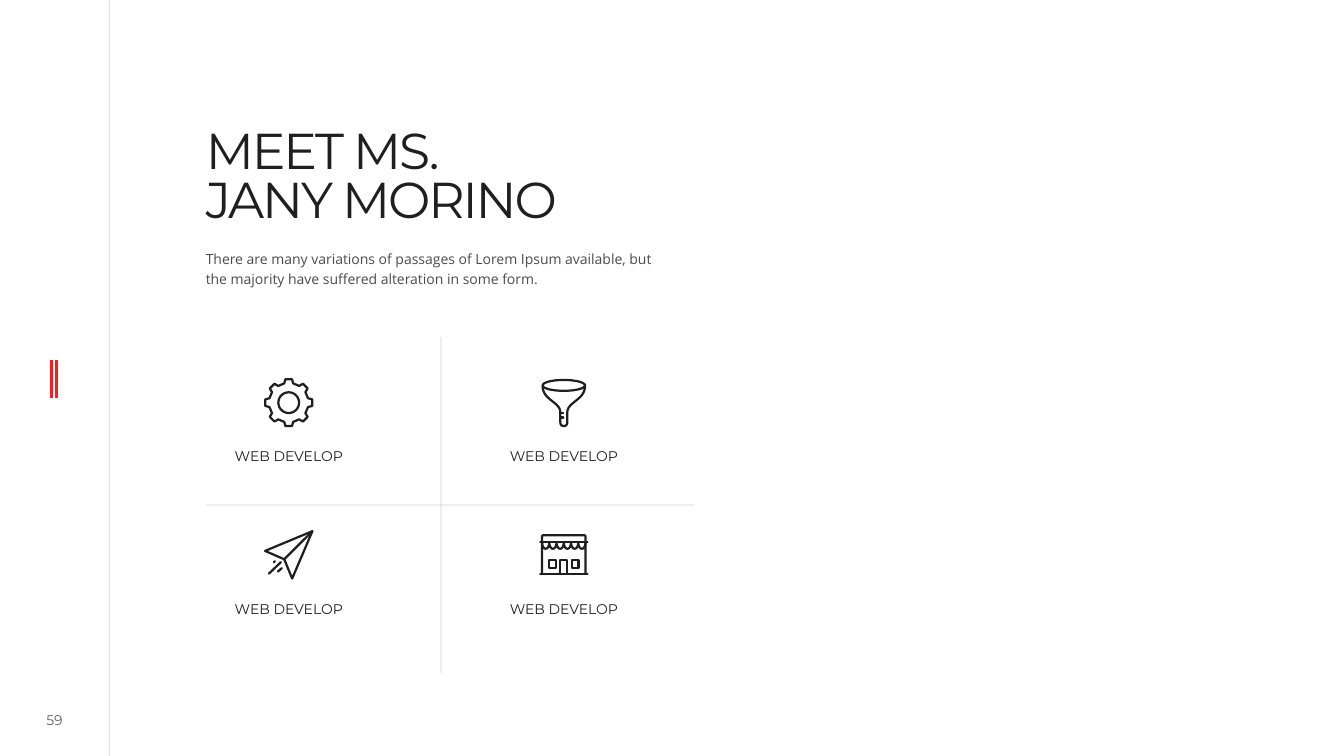
from math import cos, pi, sin

from lxml import etree
from pptx import Presentation
from pptx.dml.color import RGBColor
from pptx.enum.shapes import MSO_CONNECTOR
from pptx.enum.text import MSO_ANCHOR, MSO_AUTO_SIZE, PP_ALIGN
from pptx.oxml.ns import qn
from pptx.util import Emu, Pt

STRAIGHT = MSO_CONNECTOR.STRAIGHT
TOP, MIDDLE = MSO_ANCHOR.TOP, MSO_ANCHOR.MIDDLE
LEFT, CENTER = PP_ALIGN.LEFT, PP_ALIGN.CENTER
NO_FIT, GROW = MSO_AUTO_SIZE.NONE, MSO_AUTO_SIZE.SHAPE_TO_FIT_TEXT

EMU_PER_PX = 9525
SLIDE_W, SLIDE_H = 1280, 720
INK, RED = "1F1F1F", "FE1C1D"
HEADING, BODY = "Montserrat", "Open Sans"
ICON_SIZE = 47
ICON_GRID = 1000


def px(length):
    return Emu(round(length * EMU_PER_PX))


def paint(color_format, color, opacity=100):
    """Set a solid colour; opacity is in percent."""
    color_format.rgb = RGBColor.from_string(color)
    if opacity < 100:
        for srgb in color_format._xFill.iter(qn("a:srgbClr")):
            etree.SubElement(srgb, qn("a:alpha"), val=str(opacity * 1000))


def draw_rule(slide, start, end, color=INK, width=0.5, opacity=20):
    rule = slide.shapes.add_connector(STRAIGHT, *map(px, start + end))
    rule.line.width = Pt(width)
    rule.line.fill.solid()
    paint(rule.line.fill.fore_color, color, opacity)
    etree.SubElement(rule._element.spPr, qn("a:effectLst"))


def fill_text(shape, box, text, size, font=HEADING, opacity=100, align=LEFT,
              spacing=1.0, anchor=TOP, fit=GROW, top=5, bottom=5, tracking=0):
    """Place a text shape in its box and write one formatted paragraph."""
    shape.left, shape.top, shape.width, shape.height = map(px, box)
    frame = shape.text_frame
    frame_format = {
        "word_wrap": True, "auto_size": fit, "vertical_anchor": anchor,
        "margin_left": 0, "margin_right": 0,
        "margin_top": px(top), "margin_bottom": px(bottom),
    }
    for attribute, value in frame_format.items():
        setattr(frame, attribute, value)
    frame.text = text
    paragraph = frame.paragraphs[0]
    paragraph.alignment, paragraph.line_spacing = align, spacing
    for run in paragraph.runs:
        run.font.name, run.font.size = font, Pt(size)
        run.font.fill.solid()
        paint(run.font.fill.fore_color, INK, opacity)
        if tracking:
            run._r.get_or_add_rPr().set("spc", str(tracking))


def add_text(slide, box, text, size, **text_format):
    fill_text(slide.shapes.add_textbox(*map(px, box)), box, text, size, **text_format)


def curve(p0, p1, p2, p3, steps=16):
    """Points along a cubic curve."""
    points = []
    for step in range(steps + 1):
        t = step / steps
        weights = ((1 - t) ** 3, 3 * t * (1 - t) ** 2, 3 * t * t * (1 - t), t ** 3)
        points.append(tuple(sum(w * p[axis] for w, p in zip(weights, (p0, p1, p2, p3)))
                            for axis in (0, 1)))
    return points


def polar(radius, degrees):
    angle = degrees * pi / 180
    return 50 + radius * cos(angle), 50 + radius * sin(angle)


def rectangle(left, top, right, bottom):
    return [(left, top), (right, top), (right, bottom), (left, bottom), (left, top)]


# Each icon is a list of strokes on a grid of 100 by 100.
def gear():
    tooth = ((48, -8), (48, 8), (40, 13), (40, 32))
    rim = [polar(radius, 45 * index + turn) for index in range(8) for radius, turn in tooth]
    hole = [polar(21, 10 * step) for step in range(37)]
    return [rim + rim[:1], hole]


def funnel():
    mouth = [(50 + 43 * cos(step * pi / 24), 15 + 11 * sin(step * pi / 24))
             for step in range(49)]
    body = (curve((7, 16), (7, 45), (43, 48), (43, 70))
            + curve((43, 90), (43, 100), (57, 100), (57, 90))
            + curve((57, 70), (57, 48), (93, 45), (93, 16)))
    ticks = [[(43, y), (49, y)] for y in (71, 80)]
    return [mouth, body] + ticks


def paper_plane():
    wings = [(2, 42), (98, 2), (57, 98), (41, 59), (2, 42)]
    fold = [(41, 59), (98, 2)]
    trails = [[(34, 65), (10, 88)], [(36, 77), (28, 84)], [(22, 63), (20, 65)]]
    return [wings, fold] + trails


def shop():
    front = [(6, 88), (6, 12), (8, 10), (92, 10), (94, 12), (94, 88)]
    ledges = [[(2, y), (98, y)] for y in (24, 88)]
    scallop = 88 / 6
    awning = []
    for index in range(6):
        left = 6 + index * scallop
        right = left + scallop
        awning += curve((left, 24), (left, 42), (right, 42), (right, 24))
    door = [(43, 88), (43, 61), (57, 61), (57, 88)]
    windows = [rectangle(left, 61, left + 14, 76) for left in (20, 66)]
    return [front, awning, door] + ledges + windows


def draw_icon(slide, left, top, strokes):
    builder = None
    for stroke in strokes:
        start, *rest = [(x * ICON_GRID / 100, y * ICON_GRID / 100) for x, y in stroke]
        if builder is None:
            builder = slide.shapes.build_freeform(*start, scale=px(ICON_SIZE) / ICON_GRID)
        else:
            builder.move_to(*start)
        builder.add_line_segments(rest, close=False)
    icon = builder.convert_to_shape(px(left), px(top))
    icon.shadow.inherit = False
    icon.fill.background()
    icon.line.width = Pt(1.6)
    paint(icon.line.color, INK)
    outline = icon.line._get_or_add_ln()
    outline.set("cap", "rnd")
    etree.SubElement(outline, qn("a:round"))


def add_sidebar(slide, width):
    draw_rule(slide, (width, 0), (width, SLIDE_H))
    for x in (49, 54):
        draw_rule(slide, (x, 343), (x, 379), RED, 2, 100)
    add_text(slide, (25, 674, 54, 24), "59", 10, opacity=70, align=CENTER,
             anchor=MIDDLE, fit=NO_FIT, top=0, bottom=0)


def add_introduction(slide, left, top, width):
    fill_text(slide.shapes.title, (left, top, width, 170), "MEET MS.\vJANY MORINO", 36,
              spacing=0.8, fit=NO_FIT, top=20, bottom=0, tracking=-150)
    add_text(slide, (left, top + 125, width, 48),
             "There are many variations of passages of Lorem Ipsum available, but "
             "the majority have suffered alteration in some form.",
             10, font=BODY, opacity=80, spacing=1.2)


def add_skills(slide, left, top, width, height):
    """Draw the cross and the four icons with their captions."""
    divider = left + 224
    middle = top + height // 2
    draw_rule(slide, (divider, top), (divider, top + height))
    draw_rule(slide, (left, middle), (left + width, middle))
    caption_w, column_pitch, row_pitch = 290, 262, 145
    for index, icon in enumerate((gear, funnel, paper_plane, shop)):
        row, column = divmod(index, 2)
        caption_x = left - 66 + column * column_pitch
        icon_y = top + 39 + row * row_pitch
        draw_icon(slide, caption_x + (caption_w - ICON_SIZE) / 2, icon_y, icon())
        add_text(slide, (caption_x, icon_y + 66, caption_w, 22), "WEB DEVELOP", 10,
                 align=CENTER, spacing=0.7)


def main():
    deck = Presentation()
    deck.slide_width, deck.slide_height = px(SLIDE_W), px(SLIDE_H)
    slide = deck.slides.add_slide(deck.slide_layouts[5])
    add_sidebar(slide, 104)
    add_introduction(slide, 196, 105, 444)
    add_skills(slide, 196, 321, 465, 320)
    deck.save("out.pptx")


if __name__ == "__main__":
    main()
